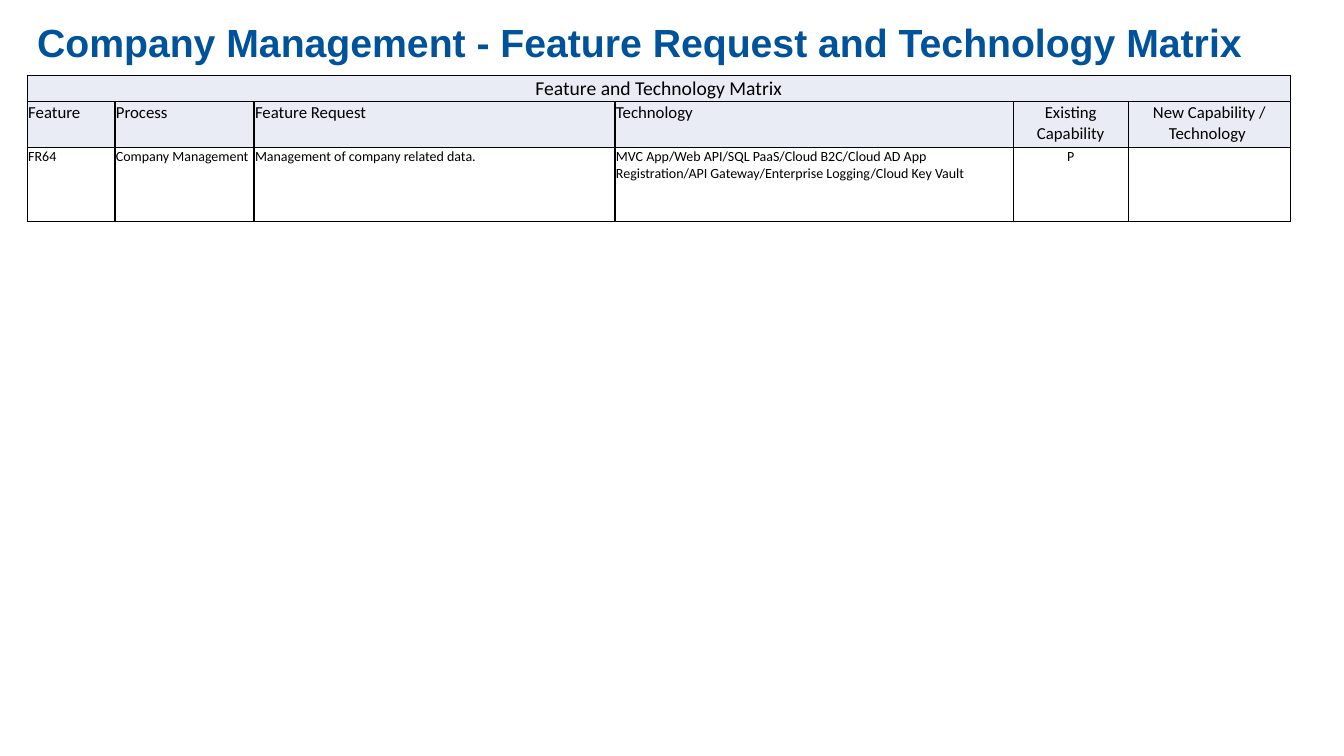
import pptx
import pptx.util
import pptx.dml.color
import pptx.enum.text
import pptx.oxml.ns
from lxml import etree

Inches, Pt = pptx.util.Inches, pptx.util.Pt
RGBColor = pptx.dml.color.RGBColor
ALIGN = pptx.enum.text.PP_ALIGN

# Content
TITLE = "Company Management - Feature Request and Technology Matrix"
ROWS = [
    ["Feature and Technology Matrix", "", "", "", "", ""],
    ["Feature", "Process", "Feature Request", "Technology",
     "Existing Capability", "New Capability / Technology "],
    ["FR64", "Company Management", "Management of company related data.",
     "MVC App/Web API/SQL PaaS/Cloud B2C/Cloud AD App Registration/"
     "API Gateway/Enterprise Logging/Cloud Key Vault", "P", ""],
]

# Layout and style
COLUMN_WIDTHS = [0.87, 1.38, 3.58, 3.95, 1.14, 1.61]
ROW_HEIGHTS = [0.26, 0.45, 0.74]
ROW_FONT_SIZES = [14, 12, 10]
HEADER_ROWS = 2
FIRST_CENTRED_COLUMN = 4
LEFT = 0.27
BLUE = RGBColor(0x00, 0x52, 0x9B)
BLACK = RGBColor(0x00, 0x00, 0x00)
HEADER_FILL = RGBColor(0xE9, 0xEB, 0xF5)


def add_run(paragraph, text, font_name, size, color, bold=False):
    run = paragraph.add_run()
    run.text = text
    run.font.name = font_name
    run.font.size = Pt(size)
    run.font.color.rgb = color
    run.font.bold = bold


def add_borders(cell):
    qn = pptx.oxml.ns.qn
    properties = cell._tc.get_or_add_tcPr()
    for side in ("lnL", "lnR", "lnT", "lnB"):
        line = etree.SubElement(properties, qn("a:" + side), w=str(Pt(1)))
        fill = etree.SubElement(line, qn("a:solidFill"))
        etree.SubElement(fill, qn("a:srgbClr"), val=str(BLACK))


presentation = pptx.Presentation()
presentation.slide_width = Inches(13.33)
presentation.slide_height = Inches(7.5)
slide = presentation.slides.add_slide(presentation.slide_layouts[6])

# Title
title = slide.shapes.add_textbox(Inches(LEFT), Inches(0.13), Inches(12.97), Inches(0.57))
title.text_frame.word_wrap = True
title.text_frame.auto_size = pptx.enum.text.MSO_AUTO_SIZE.SHAPE_TO_FIT_TEXT
add_run(title.text_frame.paragraphs[0], TITLE, "Arial", 28, BLUE, bold=True)

# Feature matrix
table = slide.shapes.add_table(
    len(ROW_HEIGHTS), len(COLUMN_WIDTHS), Inches(LEFT), Inches(0.75),
    Inches(sum(COLUMN_WIDTHS)), Inches(sum(ROW_HEIGHTS))).table
table.first_row = table.horz_banding = False
for column, width in zip(table.columns, COLUMN_WIDTHS):
    column.width = Inches(width)
for row, height in zip(table.rows, ROW_HEIGHTS):
    row.height = Inches(height)
table.cell(0, 0).merge(table.cell(0, len(COLUMN_WIDTHS) - 1))

for row_index, texts in enumerate(ROWS):
    for column_index, text in enumerate(texts):
        cell = table.cell(row_index, column_index)
        cell.margin_left = cell.margin_right = cell.margin_top = Inches(0.01)
        cell.margin_bottom = 0
        add_borders(cell)
        if row_index < HEADER_ROWS:
            cell.fill.solid()
            cell.fill.fore_color.rgb = HEADER_FILL
        else:
            cell.fill.background()
        paragraph = cell.text_frame.paragraphs[0]
        centred = row_index == 0 or column_index >= FIRST_CENTRED_COLUMN
        paragraph.alignment = ALIGN.CENTER if centred else ALIGN.LEFT
        if text:
            add_run(paragraph, text, "Calibri", ROW_FONT_SIZES[row_index], BLACK)

presentation.save("out.pptx")
